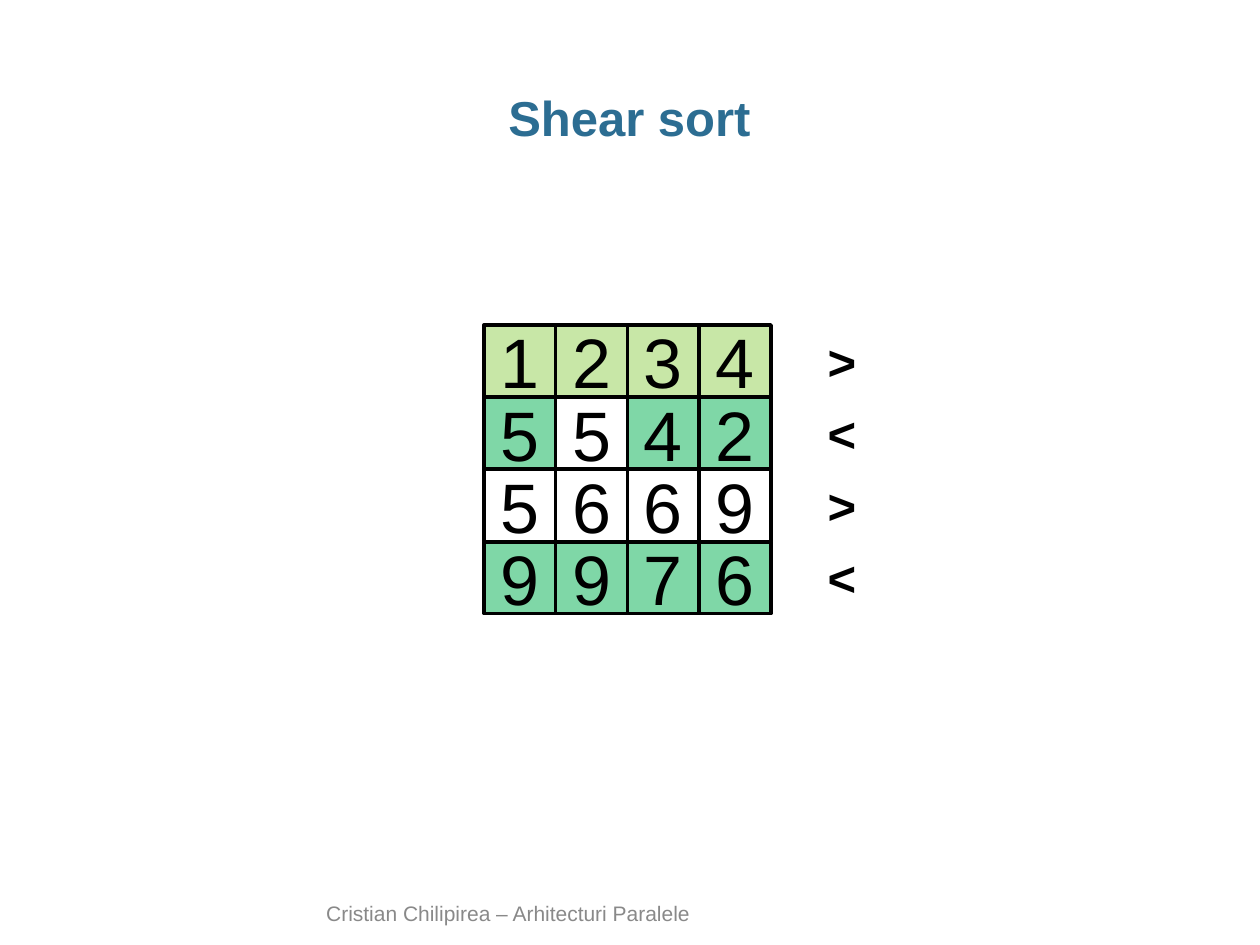
from lxml.etree import SubElement
from pptx import Presentation
from pptx.dml.color import RGBColor
from pptx.enum.shapes import MSO_SHAPE
from pptx.enum.text import MSO_ANCHOR, MSO_AUTO_SIZE, PP_ALIGN
from pptx.oxml.ns import qn
from pptx.util import Inches, Pt

COLORS = {
    "title": "2C6D92",
    "footer": "898989",
    "ink": "000000",
    "light": "92D050",
    "green": "00B050",
}
GRID = [
    ("1234", ["light"] * 4, ">"),
    ("5542", ["green", None, "green", "green"], "<"),
    ("5669", [None] * 4, ">"),
    ("9976", ["green"] * 4, "<"),
]
LEFT, TOP, SIDE = 3.84, 2.58, 0.57
PITCH = (4.3 - TOP) / 3


class SlideBuilder:
    font = "Arial"

    def __init__(self, s):
        self.s = s

    def color(self, name):
        return RGBColor.from_string(COLORS[name])

    def set_text(self, tf, text, size, color, bold=False, align=PP_ALIGN.LEFT):
        p = tf.paragraphs[0]
        p.text = text
        p.alignment = align
        p.font.name = self.font
        p.font.size = Pt(size)
        p.font.bold = bold
        p.font.color.rgb = self.color(color)
        return p

    def textbox(self, x, y, w, h, anchor=MSO_ANCHOR.TOP, wrap=True):
        tf = self.s.shapes.add_textbox(Inches(x), Inches(y), Inches(w), Inches(h)).text_frame
        tf.word_wrap = wrap
        tf.vertical_anchor = anchor
        return tf

    def title(self, text):
        tf = self.textbox(0.34, 0.68, 9.31, 0.5)
        tf.margin_left = tf.margin_right = 0
        p = self.set_text(tf, text, 28, "title", True, PP_ALIGN.CENTER)
        p.line_spacing = 0.95

    def footer(self, text):
        tf = self.textbox(2.49, 7.16, 5.02, 0.24, MSO_ANCHOR.BOTTOM)
        self.set_text(tf, text, 12, "footer")

    def cell(self, x, y, text, fill):
        sp = self.s.shapes.add_shape(
            MSO_SHAPE.RECTANGLE, Inches(x), Inches(y), Inches(SIDE), Inches(SIDE))
        sp.shadow.inherit = False
        sp.line.color.rgb = self.color("ink")
        sp.line.width = Pt(2)
        if fill:
            sp.fill.solid()
            sp.fill.fore_color.rgb = self.color(fill)
            rgb = sp.element.spPr.find(qn("a:solidFill")).find(qn("a:srgbClr"))
            SubElement(rgb, qn("a:alpha"), val="50000")
        else:
            sp.fill.background()
        sp.text_frame.vertical_anchor = MSO_ANCHOR.MIDDLE
        self.set_text(sp.text_frame, text, 40, "ink", align=PP_ALIGN.CENTER)

    def direction(self, y, text):
        tf = self.textbox(6.47, y, 0.43, SIDE, wrap=False)
        tf.auto_size = MSO_AUTO_SIZE.SHAPE_TO_FIT_TEXT
        self.set_text(tf, text, 28, "ink", True)


def main():
    prs = Presentation()
    prs.slide_width, prs.slide_height = Inches(10), Inches(7.5)
    slide = SlideBuilder(prs.slides.add_slide(prs.slide_layouts[6]))
    slide.footer("Cristian Chilipirea – Arhitecturi Paralele")
    slide.title("Shear sort")
    for row, (digits, fills, sign) in enumerate(GRID):
        y = TOP + row * PITCH
        for col, (digit, fill) in enumerate(zip(digits, fills)):
            slide.cell(LEFT + col * SIDE, y, digit, fill)
        slide.direction(y, sign)
    prs.save("out.pptx")


if __name__ == "__main__":
    main()
